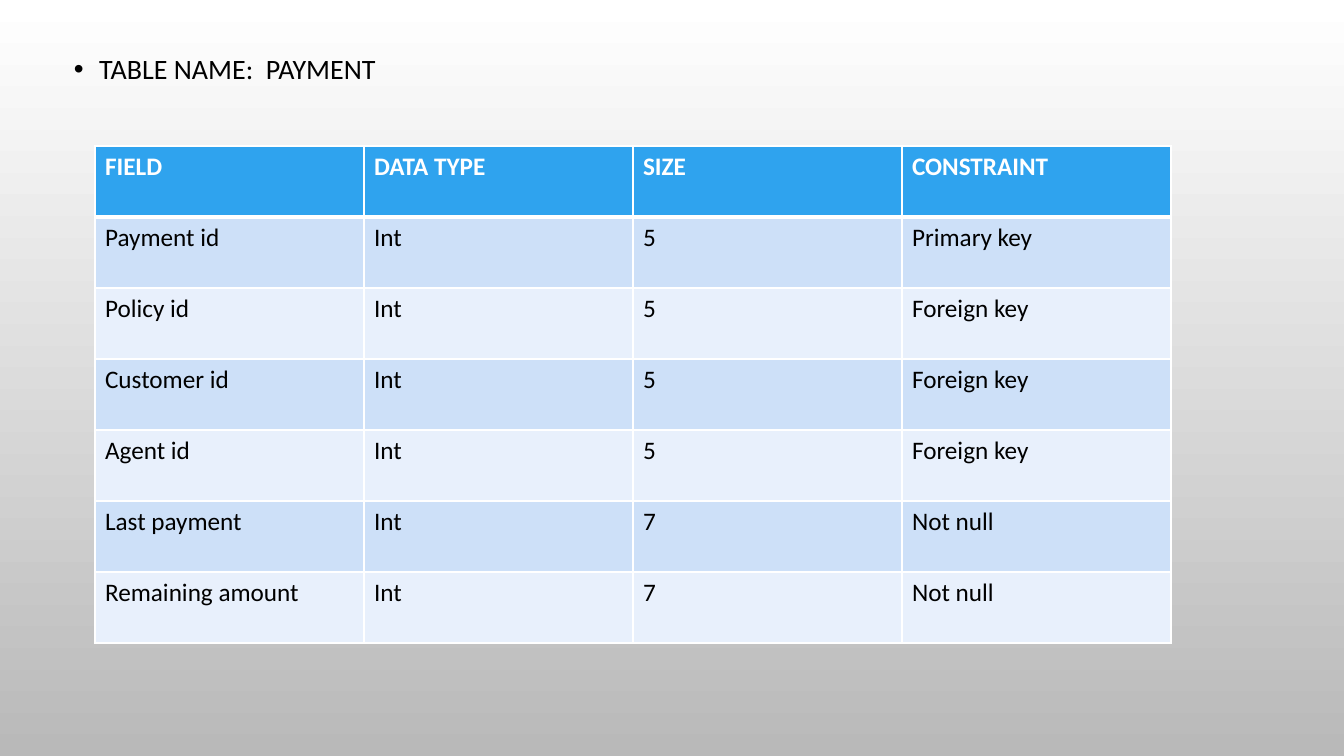
"""Build the slide that describes the PAYMENT table."""
from dataclasses import astuple, dataclass

from lxml import etree
from pptx import Presentation
from pptx.dml.color import RGBColor
from pptx.oxml.ns import qn
from pptx.util import Emu, Pt

EMU_PER_PX = 914400 / 100.8
FONT = "Calibri"
COLORS = {
    "text": "000000",
    "white": "FFFFFF",
    "bg_end": "B9B9B9",
    "header": "2FA3EE",
    "band_dark": "CDE0F8",
    "band_light": "E8F0FC",
}
THIN, THICK = 1, 3


@dataclass(frozen=True)
class Field:
    name: str
    data_type: str
    size: str
    constraint: str


@dataclass(frozen=True)
class Box:
    left: int
    top: int
    width: int
    height: int


ROWS = [
    Field("FIELD", "DATA TYPE", "SIZE", "CONSTRAINT"),
    Field("Payment id", "Int", "5", "Primary key"),
    Field("Policy id", "Int", "5", "Foreign key"),
    Field("Customer id", "Int", "5", "Foreign key"),
    Field("Agent id", "Int", "5", "Foreign key"),
    Field("Last payment", "Int", "7", "Not null"),
    Field("Remaining amount", "Int", "7", "Not null"),
]
COLUMNS = 4
COLUMN_WIDTH, ROW_HEIGHT = 269, 71
TITLE_BOX = Box(64, 40, 1216, 665)
TABLE_BOX = Box(95, 146, COLUMNS * COLUMN_WIDTH, len(ROWS) * ROW_HEIGHT)


def px(value: int) -> Emu:
    """Turn px into EMU."""
    return Emu(round(value * EMU_PER_PX))


def rgb(name: str) -> RGBColor:
    """Look up a colour by name."""
    return RGBColor.from_string(COLORS[name])


def place(box: Box) -> list[Emu]:
    """Give the four lengths of a box in EMU."""
    return [px(v) for v in astuple(box)]


def style(p, size: int, color: str, bold: bool = False) -> None:
    """Format every run of a paragraph."""
    for r in p.runs:
        r.font.name = FONT
        r.font.size = Pt(size)
        r.font.bold = bold
        r.font.color.rgb = rgb(color)


def set_background(slide) -> None:
    """Fill the background with a downward gradient."""
    fill = slide.background.fill
    fill.gradient()
    fill.gradient_angle = 270
    for stop, position, color in zip(fill.gradient_stops, (0, 1), ("white", "bg_end")):
        stop.position = position
        stop.color.rgb = rgb(color)


def add_title(slide) -> None:
    """Add the bulleted table name."""
    tf = slide.shapes.add_textbox(*place(TITLE_BOX)).text_frame
    tf.word_wrap = True
    p = tf.paragraphs[0]
    p.text = "TABLE NAME:  PAYMENT"
    p.line_spacing = 1.2
    pPr = p._p.get_or_add_pPr()
    pPr.set("marL", str(Pt(18)))
    pPr.set("indent", str(Pt(-18)))
    etree.SubElement(pPr, qn("a:buFont"), typeface="Arial")
    etree.SubElement(pPr, qn("a:buChar"), char="•")
    style(p, 20, "text")


def add_borders(cell, top: int, bottom: int) -> None:
    """Draw white borders round a cell."""
    tcPr = cell._tc.get_or_add_tcPr()
    for side, width in (("L", THIN), ("R", THIN), ("T", top), ("B", bottom)):
        ln = etree.SubElement(tcPr, qn(f"a:ln{side}"), w=str(Pt(width)))
        fill = etree.SubElement(ln, qn("a:solidFill"))
        etree.SubElement(fill, qn("a:srgbClr"), val=COLORS["white"])


def add_field_table(slide) -> None:
    """Add the table of fields with banded rows."""
    frame = slide.shapes.add_table(len(ROWS), COLUMNS, *place(TABLE_BOX))
    table = frame.table
    for column in table.columns:
        column.width = px(COLUMN_WIDTH)
    for i, field in enumerate(ROWS):
        table.rows[i].height = px(ROW_HEIGHT)
        header = i == 0
        band = "band_dark" if i % 2 else "band_light"
        for j, text in enumerate(astuple(field)):
            cell = table.cell(i, j)
            add_borders(cell, THICK if i == 1 else THIN, THICK if header else THIN)
            cell.fill.solid()
            cell.fill.fore_color.rgb = rgb("header" if header else band)
            cell.text_frame.text = text
            style(cell.text_frame.paragraphs[0], 18, "white" if header else "text", header)


def main() -> None:
    """Create and save the presentation."""
    prs = Presentation()
    prs.slide_width, prs.slide_height = px(1344), px(756)
    slide = prs.slides.add_slide(prs.slide_layouts[6])
    set_background(slide)
    add_title(slide)
    add_field_table(slide)
    prs.save("out.pptx")


if __name__ == "__main__":
    main()
